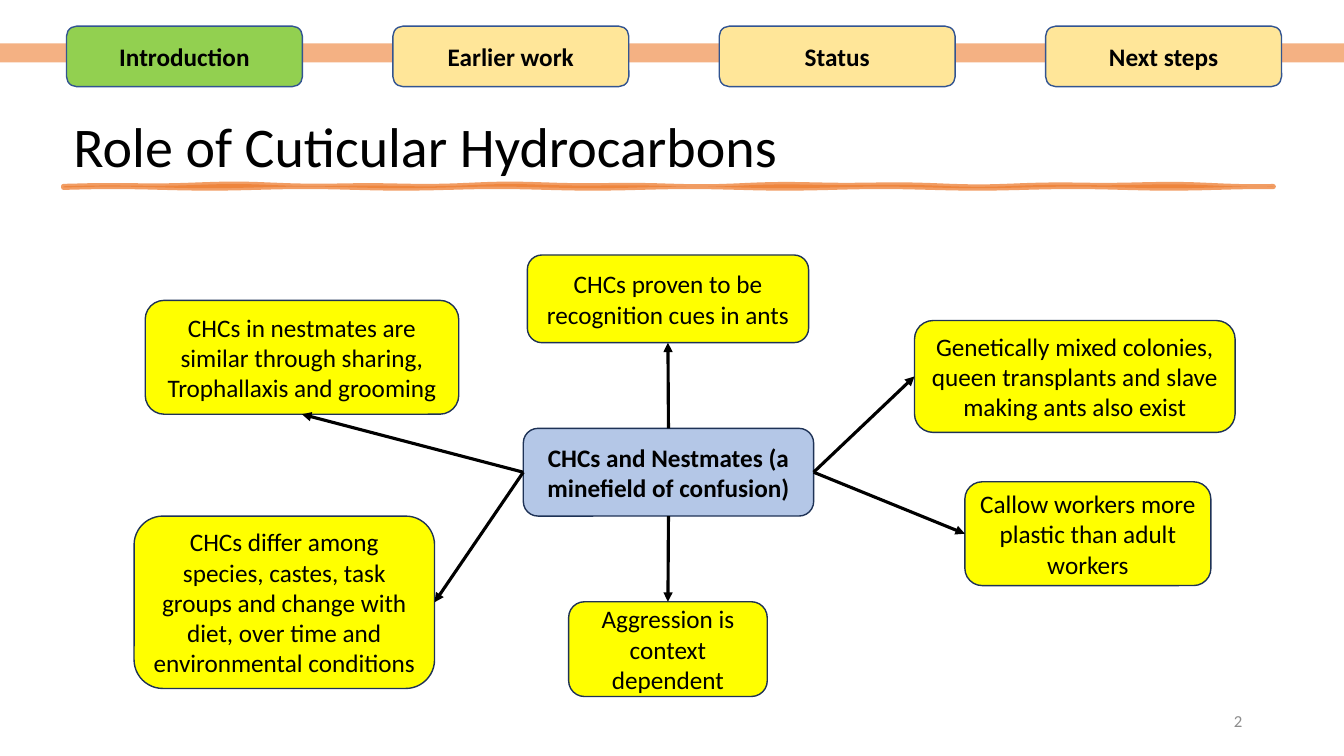
import math
from dataclasses import dataclass

from lxml import etree
from pptx import Presentation
from pptx.dml.color import RGBColor
from pptx.enum import shapes, text
from pptx.oxml import ns
from pptx.util import Inches, Pt


@dataclass(frozen=True)
class Theme:
    """Colours, font and type sizes of the slide."""
    font: str = "Calibri"
    ink: str = "000000"
    muted: str = "8C8C8C"
    hub: str = "B4C7E7"
    node: str = "FFFF00"
    node_edge: str = "1E3256"
    band: str = "F4B183"
    current: str = "92D050"
    tab: str = "FFE699"
    tab_edge: str = "325491"
    brush: str = "ED7D31"
    title_size: int = 40
    body_size: int = 18
    number_size: int = 12


THEME = Theme()
TOP, LEFT, BOTTOM, RIGHT = range(4)
SECTIONS = ("Introduction", "Earlier work", "Status", "Next steps")
HUB = ("CHCs and Nestmates (a minefield of confusion)", (5.19, 4.25, 2.88, 0.87))
FINDINGS = (
    ("CHCs proven to be recognition cues in ants", (5.23, 2.53, 2.79, 0.87), TOP, BOTTOM),
    ("CHCs in nestmates are similar through sharing, Trophallaxis and grooming",
     (1.44, 2.98, 3.11, 1.13), LEFT, BOTTOM),
    ("CHCs differ among species, castes, task groups and change with diet, "
     "over time and environmental conditions", (1.33, 5.12, 2.98, 1.71), LEFT, RIGHT),
    ("Genetically mixed colonies, queen transplants and slave making ants also exist",
     (9.07, 3.18, 3.18, 1.11), RIGHT, LEFT),
    ("Callow workers more plastic than adult workers", (9.57, 4.78, 2.44, 1.03), RIGHT, LEFT),
    ("Aggression is context dependent", (5.64, 5.97, 1.97, 0.94), BOTTOM, TOP),
)


def rgb(colour):
    """Turn a hex string into a colour."""
    return RGBColor.from_string(colour)


def write(holder, words, size, colour=THEME.ink, bold=False,
          align=text.PP_ALIGN.CENTER, anchor=text.MSO_ANCHOR.MIDDLE):
    """Put one styled paragraph into a shape and return the paragraph."""
    frame = holder.text_frame
    frame.word_wrap = True
    frame.vertical_anchor = anchor
    frame.text = words
    paragraph = frame.paragraphs[0]
    paragraph.alignment = align
    font = paragraph.runs[0].font
    font.name, font.size, font.bold = THEME.font, Pt(size), bold
    font.color.rgb = rgb(colour)
    return paragraph


def add_panel(parent, kind, box, fill, edge=None):
    """Draw a flat filled shape, outlined if an edge colour is given."""
    panel = parent.add_shape(kind, *map(Inches, box))
    panel.shadow.inherit = False
    panel.fill.solid()
    panel.fill.fore_color.rgb = rgb(fill)
    if edge:
        panel.line.color.rgb = rgb(edge)
        panel.line.width = Pt(1)
    else:
        panel.line.fill.background()
    return panel


def add_card(parent, words, box, fill, edge, bold=False):
    """Draw a rounded box with centred text."""
    card = add_panel(parent, shapes.MSO_SHAPE.ROUNDED_RECTANGLE, box, fill, edge)
    write(card, words, THEME.body_size, bold=bold)
    return card


def add_arrow(slide, start, start_side, end, end_side):
    """Join two cards with an arrow pointing at the second."""
    arrow = slide.shapes.add_connector(shapes.MSO_CONNECTOR.STRAIGHT, 0, 0, 0, 0)
    arrow.begin_connect(start, start_side)
    arrow.end_connect(end, end_side)
    arrow.line.color.rgb = rgb(THEME.ink)
    arrow.line.width = Pt(2.25)
    properties = arrow._element.spPr
    etree.SubElement(properties.find(ns.qn("a:ln")), ns.qn("a:tailEnd"), type="triangle")
    etree.SubElement(properties, ns.qn("a:effectLst"))


def add_title(slide, box):
    """Place the slide title at the bottom of its box."""
    title = slide.shapes.add_textbox(*map(Inches, box))
    paragraph = write(title, "Role of Cuticular Hydrocarbons", THEME.title_size,
                      align=text.PP_ALIGN.LEFT, anchor=text.MSO_ANCHOR.BOTTOM)
    paragraph.line_spacing = 0.9


def add_brush_stroke(slide, box):
    """Draw the uneven translucent stroke under the title."""
    left, top, width, height = box
    steps = 120
    upper, lower = [], []
    for step in range(steps + 1):
        x = left + width * step / steps
        wave = 0.008 * math.sin(2.1 * x) + 0.006 * math.sin(4.7 * x)
        swell = 0.008 * math.sin(3.3 * x + 1)
        upper.append((Inches(x), Inches(top + wave)))
        lower.append((Inches(x), Inches(top + height + swell)))
    outline = upper + lower[::-1]
    builder = slide.shapes.build_freeform(*outline[0])
    builder.add_line_segments(outline[1:], close=True)
    stroke = builder.convert_to_shape()
    stroke.shadow.inherit = False
    stroke.fill.solid()
    stroke.fill.fore_color.rgb = rgb(THEME.brush)
    stroke.line.color.rgb = rgb(THEME.brush)
    stroke.line.width = Pt(3.5)
    for colour in stroke._element.spPr.iter(ns.qn("a:srgbClr")):
        etree.SubElement(colour, ns.qn("a:alpha"), val="75000")


def add_page_number(slide, box):
    """Place the page number at the right of its box."""
    number = slide.shapes.add_textbox(*map(Inches, box))
    write(number, "2", THEME.number_size, THEME.muted, align=text.PP_ALIGN.RIGHT)


def add_mind_map(slide):
    """Draw the hub, the findings around it and their arrows."""
    hub = add_card(slide.shapes, *HUB, THEME.hub, THEME.node_edge, bold=True)
    for words, box, hub_side, finding_side in FINDINGS:
        finding = add_card(slide.shapes, words, box, THEME.node, THEME.node_edge)
        add_arrow(slide, hub, hub_side, finding, finding_side)


def add_navigation(slide, box):
    """Draw the section tabs evenly spaced over a band."""
    left, top, width, height = box
    tab_width, pitch = 2.34, 3.237
    navigation = slide.shapes.add_group_shape().shapes
    add_panel(navigation, shapes.MSO_SHAPE.RECTANGLE,
              (left, top + 0.17, width, 0.19), THEME.band)
    for index, section in enumerate(SECTIONS):
        fill = THEME.tab if index else THEME.current
        tab_box = (left + 0.66 + index * pitch, top, tab_width, height)
        add_card(navigation, section, tab_box, fill, THEME.tab_edge, bold=True)


def main():
    """Build and save the slide."""
    deck = Presentation()
    deck.slide_width, deck.slide_height = Inches(13.33), Inches(7.5)
    slide = deck.slides.add_slide(deck.slide_layouts[6])
    add_title(slide, (0.63, 0.26, 12.05, 1.57))
    add_brush_stroke(slide, (0.63, 1.84, 12, 0.02))
    add_page_number(slide, (9.42, 6.95, 3, 0.4))
    add_mind_map(slide)
    add_navigation(slide, (0, 0.26, 13.33, 0.6))
    deck.save("out.pptx")


if __name__ == "__main__":
    main()
